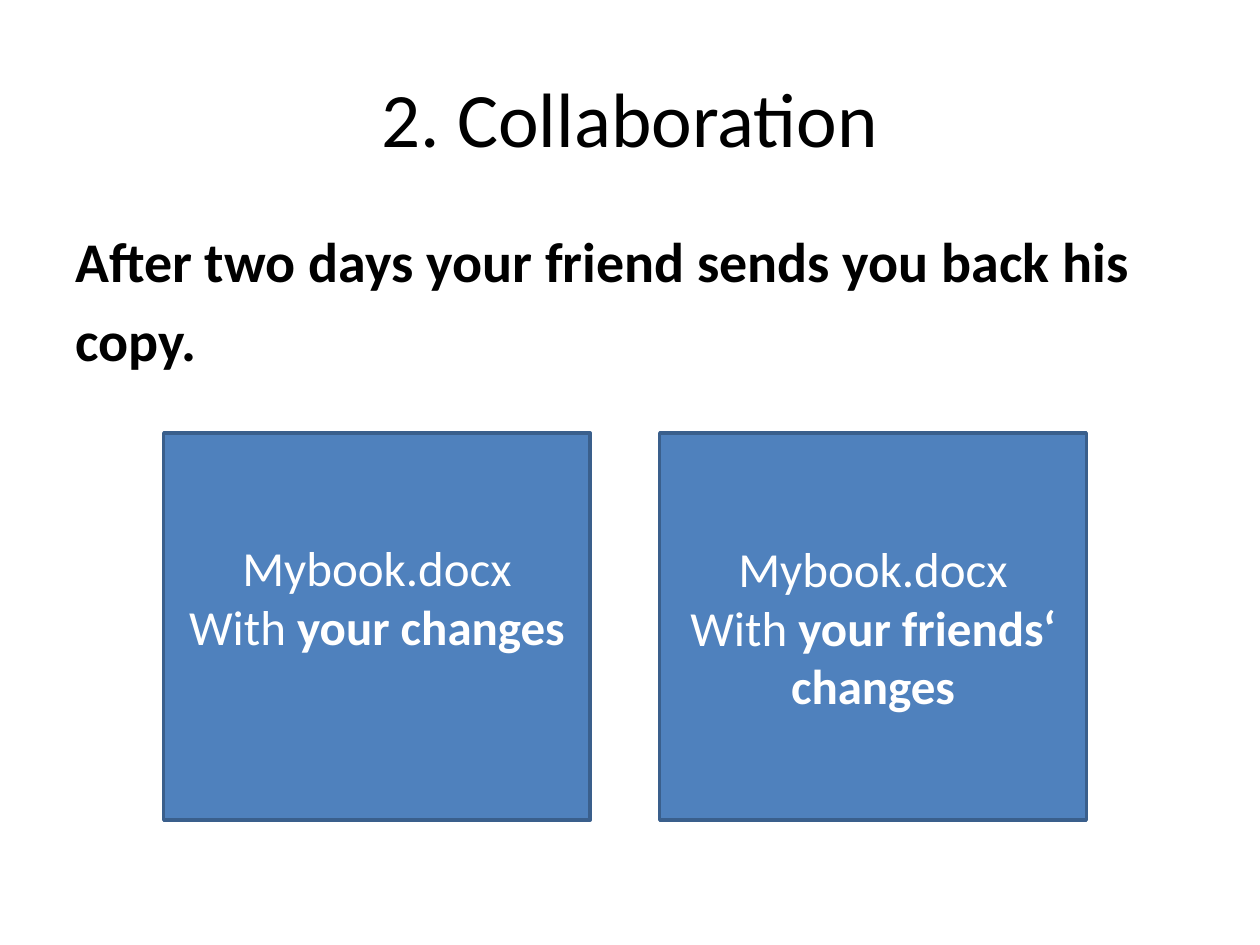
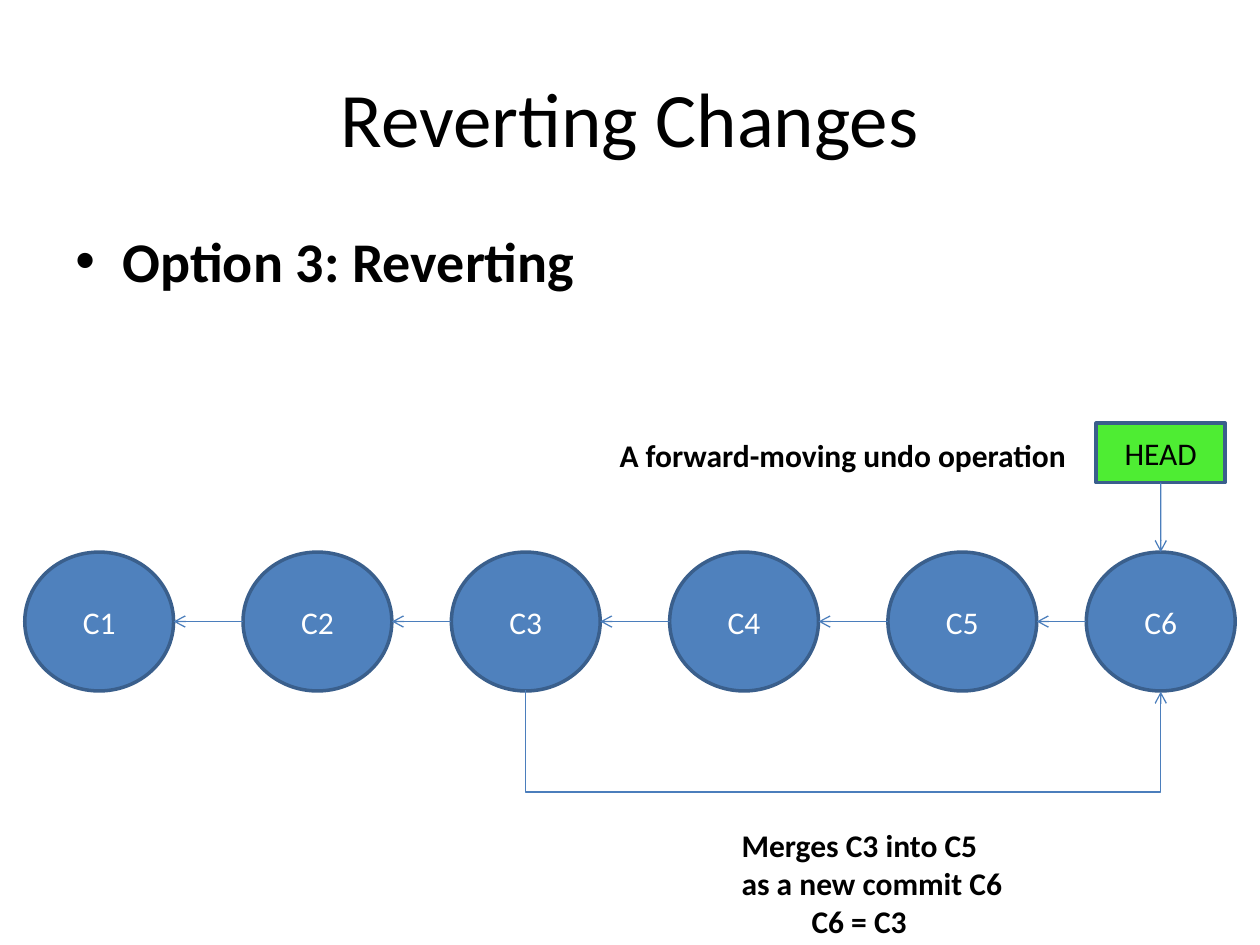
from dataclasses import dataclass
from itertools import pairwise

from lxml import etree
from pptx import Presentation
from pptx.dml.color import RGBColor
from pptx.enum import shapes, text
from pptx.oxml import ns
from pptx.util import Cm, Length, Pt

BLACK = RGBColor(0x00, 0x00, 0x00)
WHITE = RGBColor(0xFF, 0xFF, 0xFF)
BLUE = RGBColor(0x4F, 0x81, 0xBD)
OUTLINE = RGBColor(0x3A, 0x5F, 0x8C)
ARROW = RGBColor(0x4B, 0x7E, 0xBC)
GREEN = RGBColor(0x4E, 0xED, 0x33)
FONT = "Calibri"
RECT = shapes.MSO_SHAPE.RECTANGLE
OVAL = shapes.MSO_SHAPE.OVAL
CENTER = text.PP_ALIGN.CENTER
MARGIN, CONTENT_WIDTH = Cm(1.27), Cm(22.86)


@dataclass(frozen=True)
class Box:
    left: Length
    top: Length
    width: Length
    height: Length

    @property
    def right(self) -> int:
        return self.left + self.width

    @property
    def bottom(self) -> int:
        return self.top + self.height

    @property
    def center(self) -> int:
        return self.left + self.width // 2

    @property
    def middle(self) -> int:
        return self.top + self.height // 2


@dataclass(frozen=True)
class Style:
    size: int
    color: RGBColor = BLACK
    bold: bool | None = None
    align: text.PP_ALIGN = text.PP_ALIGN.LEFT
    gap: float = 0


@dataclass(frozen=True)
class Line:
    plain: str = ""
    strong: str = ""
    indent: Length = Cm(0)
    bullet: str = ""


TITLE = Style(44, align=CENTER)
BODY = Style(32, bold=True, gap=6.4)
NOTE = Style(18, bold=True)
DOCUMENT = Style(28, WHITE, align=CENTER)
COMMIT = Style(18, WHITE, align=CENTER)
REFERENCE = Style(18, BLACK, align=CENTER)


def write(frame, lines: list[Line], style: Style) -> None:
    for number, line in enumerate(lines):
        paragraph = frame.add_paragraph() if number else frame.paragraphs[0]
        properties = paragraph._p.get_or_add_pPr()
        if line.indent:
            properties.set("marL", str(line.indent))
        if line.bullet:
            properties.set("indent", str(-line.indent))
            etree.SubElement(properties, ns.qn("a:buFont")).set("typeface", "Arial")
            etree.SubElement(properties, ns.qn("a:buChar")).set("char", line.bullet)
        paragraph.alignment = style.align
        paragraph.space_before = Pt(style.gap if number else 0)
        paragraph.font.name = FONT
        paragraph.font.size = Pt(style.size)
        paragraph.font.bold = style.bold
        paragraph.font.color.rgb = style.color
        if line.plain:
            paragraph.add_run().text = line.plain
        if line.strong:
            run = paragraph.add_run()
            run.text = line.strong
            run.font.bold = True


def add_text(slide, box: Box, lines: list[Line], style: Style,
             anchor=text.MSO_ANCHOR.TOP, wrap: bool = True) -> None:
    frame = slide.shapes.add_textbox(box.left, box.top, box.width, box.height).text_frame
    frame.word_wrap = wrap
    if not wrap:
        frame.auto_size = text.MSO_AUTO_SIZE.SHAPE_TO_FIT_TEXT
    frame.vertical_anchor = anchor
    write(frame, lines, style)


def add_block(slide, kind, box: Box, lines: list[Line], style: Style,
              fill: RGBColor = BLUE, lift: Length = Cm(0)) -> None:
    block = slide.shapes.add_shape(kind, box.left, box.top, box.width, box.height)
    block.shadow.inherit = False
    block.fill.solid()
    block.fill.fore_color.rgb = fill
    block.line.color.rgb = OUTLINE
    block.line.width = Pt(2)
    frame = block.text_frame
    frame.word_wrap = True
    frame.vertical_anchor = text.MSO_ANCHOR.MIDDLE
    frame.margin_bottom += lift
    write(frame, lines, style)


def add_arrow(slide, start: tuple[int, int], end: tuple[int, int],
              kind=shapes.MSO_CONNECTOR.STRAIGHT):
    arrow = slide.shapes.add_connector(kind, *start, *end)
    arrow.line.color.rgb = ARROW
    arrow.line.width = Pt(0.75)
    etree.SubElement(arrow.line._get_or_add_ln(), ns.qn("a:tailEnd")).set("type", "arrow")
    etree.SubElement(arrow._element.spPr, ns.qn("a:effectLst"))
    return arrow


def add_loop_below(slide, source: Box, target: Box, drop: Length) -> None:
    """Run an arrow down from source, across, and up into target."""
    loop = add_arrow(slide, (source.center, source.bottom), (target.center, target.bottom),
                     shapes.MSO_CONNECTOR.ELBOW)
    span, thickness = target.center - source.center, Cm(0.03)
    # A quarter turn swaps the sides of the frame around its centre
    loop.left = (source.center + target.center - thickness) // 2
    loop.top = source.bottom - span // 2
    loop.width, loop.height = thickness, span
    properties = loop._element.spPr
    frame = properties.find(ns.qn("a:xfrm"))
    frame.set("rot", str(270 * 60000))
    frame.set("flipH", "1")
    adjustments = properties.find(ns.qn("a:prstGeom")).get_or_add_avLst()
    guide = etree.SubElement(adjustments, ns.qn("a:gd"))
    guide.set("name", "adj1")
    guide.set("fmla", f"val {round(drop / thickness * 100000)}")


def add_page(deck, title: str, body: list[Line]):
    slide = deck.slides.add_slide(deck.slide_layouts[6])
    add_text(slide, Box(MARGIN, Cm(0.76), CONTENT_WIDTH, Cm(3.18)), [Line(title)], TITLE,
             text.MSO_ANCHOR.MIDDLE)
    add_text(slide, Box(MARGIN, Cm(4.45), CONTENT_WIDTH, Cm(12.57)), body, BODY)
    return slide


def build_collaboration(deck) -> None:
    slide = add_page(deck, "2. Collaboration", [
        Line("After two days your friend sends you back his"), Line("copy.")])
    # The two diverging versions; the first sits one line higher
    versions = [("your changes", Cm(1.2)), ("your friends‘ changes", Cm(0))]
    for column, (changes, lift) in enumerate(versions):
        box = Box(Cm(3.3 + 10 * column), Cm(8.73), Cm(8.6), Cm(7.8))
        add_block(slide, RECT, box, [Line("Mybook.docx"), Line("With ", changes)],
                  DOCUMENT, lift=lift)


def build_reverting(deck) -> None:
    slide = add_page(deck, "Reverting Changes",
                     [Line("Option 3: Reverting", indent=Cm(0.95), bullet="•")])

    # Commit history, each commit pointing to its parent
    commits = [Box(Cm(left), Cm(11.13), Cm(3), Cm(2.8))
               for left in (0.5, 4.9, 9.1, 13.5, 17.9, 21.9)]
    for number, commit in enumerate(commits, 1):
        add_block(slide, OVAL, commit, [Line(f"C{number}")], COMMIT)
    for parent, child in pairwise(commits):
        add_arrow(slide, (child.left, child.middle), (parent.right, parent.middle))

    # HEAD and the revert
    reverted, latest = commits[2], commits[-1]
    head = Box(Cm(22.1), Cm(8.53), Cm(2.6), Cm(1.2))
    add_block(slide, RECT, head, [Line("HEAD")], REFERENCE, GREEN)
    add_arrow(slide, (head.center, head.bottom), (latest.center, latest.top))
    add_loop_below(slide, reverted, latest, Cm(2.05))

    # Explanations
    add_text(slide, Box(Cm(14.7), Cm(16.53), Cm(5.82), Cm(2.56)), [
        Line("Merges C3 into C5"), Line("as a new commit C6"),
        Line("C6 = C3", indent=Cm(1.41))], NOTE, wrap=False)
    add_text(slide, Box(Cm(12.24), Cm(8.66), Cm(9.58), Cm(1.03)),
             [Line("A forward-moving undo operation")], NOTE, wrap=False)


def main() -> None:
    deck = Presentation()
    deck.slide_width, deck.slide_height = Cm(25.4), Cm(19.05)
    build_collaboration(deck)
    build_reverting(deck)
    deck.save("out.pptx")


if __name__ == "__main__":
    main()
